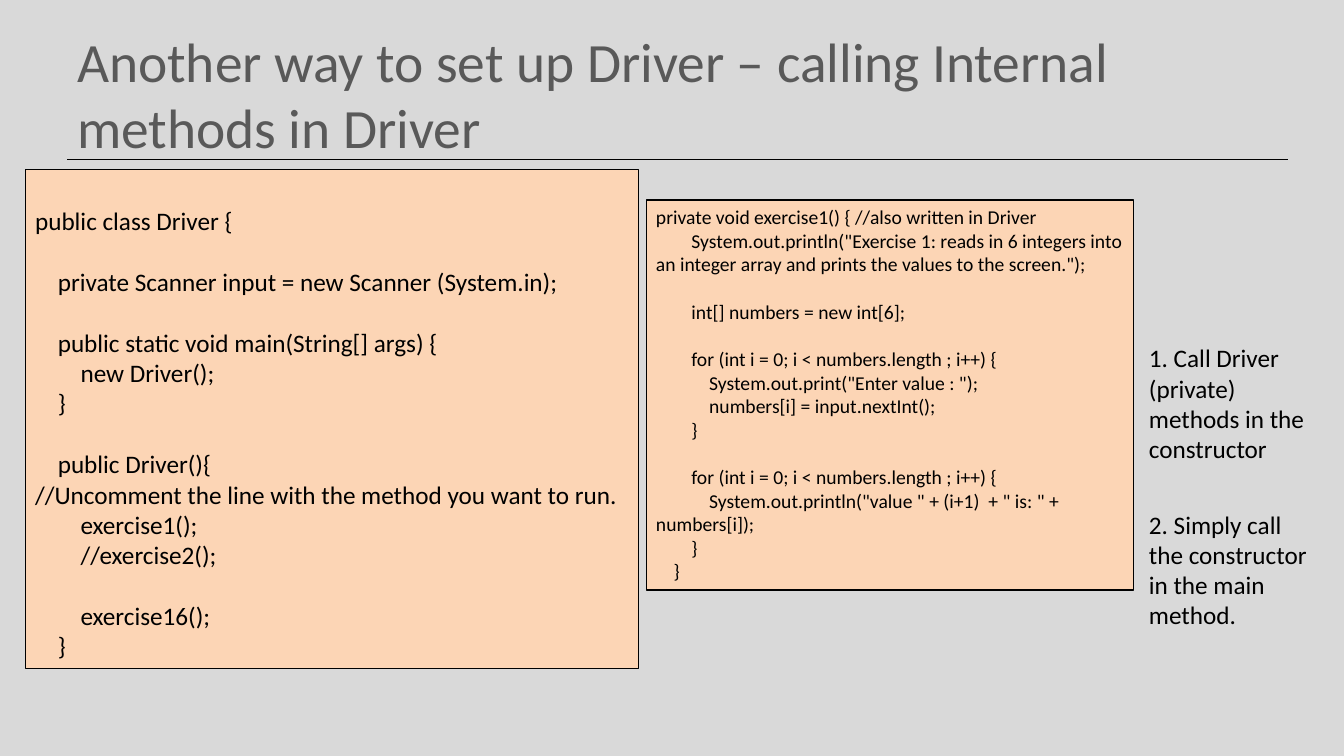
"""Build the slide on calling internal methods in Driver."""
import lxml.etree
import pptx
import pptx.dml.color
import pptx.enum.shapes
import pptx.enum.text
import pptx.oxml.ns
import pptx.util

Pt = pptx.util.Pt
ANCHOR = pptx.enum.text.MSO_ANCHOR
COLORS = {"background": "D9D9D9", "title": "595959", "code": "FCD5B5", "ink": "000000"}
LINE_HEIGHT = 1.22


def rgb(name):
    return pptx.dml.color.RGBColor.from_string(COLORS[name])


def add_text(text, *, left, top, width, height, size, color="ink", fill=None,
             anchor=ANCHOR.TOP, top_inset=3.6):
    if fill:
        box = slide.shapes.add_shape(pptx.enum.shapes.MSO_SHAPE.RECTANGLE,
                                     Pt(left), Pt(top), Pt(width), Pt(height))
        box.shadow.inherit = False
        box.fill.solid()
        box.fill.fore_color.rgb = rgb(fill)
        box.line.color.rgb = rgb("ink")
        box.line.width = Pt(0.75)
    else:
        box = slide.shapes.add_textbox(Pt(left), Pt(top), Pt(width), Pt(height))
    frame = box.text_frame
    frame.word_wrap = True
    frame.vertical_anchor = anchor
    frame.margin_top = Pt(top_inset)
    paragraph, gap = frame.paragraphs[0], 0
    for line in text.split("\n"):
        if not line:
            gap += size * LINE_HEIGHT
            continue
        if paragraph.runs:
            paragraph = frame.add_paragraph()
        if gap:
            paragraph.space_before = Pt(gap)
            gap = 0
        paragraph.alignment = pptx.enum.text.PP_ALIGN.LEFT
        run = paragraph.add_run()
        run.text = line
        run.font.name = "Calibri"
        run.font.size = Pt(size)
        run.font.color.rgb = rgb(color)


deck = pptx.Presentation()
deck.slide_width, deck.slide_height = Pt(960), Pt(540)
slide = deck.slides.add_slide(deck.slide_layouts[6])
slide.background.fill.solid()
slide.background.fill.fore_color.rgb = rgb("background")

title_rule = slide.shapes.add_connector(pptx.enum.shapes.MSO_CONNECTOR.STRAIGHT,
                                        Pt(48), Pt(113.75), Pt(920), Pt(113.75))
title_rule.line.color.rgb = rgb("ink")
title_rule.line.width = Pt(1)
lxml.etree.SubElement(title_rule._element.spPr, pptx.oxml.ns.qn("a:effectLst"))

add_text("Another way to set up Driver – calling Internal methods in Driver",
         left=48, top=21.6, width=864, height=90, size=39.6, color="title",
         anchor=ANCHOR.MIDDLE)

driver_code = """public class Driver {

    private Scanner input = new Scanner (System.in);

    public static void main(String[] args) {
        new Driver();
    }

    public Driver(){
//Uncomment the line with the method you want to run.
        exercise1();
        //exercise2();

        exercise16();
    }"""
add_text(driver_code, left=18, top=121, width=438, height=356.4, size=18,
         fill="code", top_inset=25.6)

exercise_code = """private void exercise1() { //also written in Driver
        System.out.println("Exercise 1: reads in 6 integers into an integer array and prints the values to the screen.");

        int[] numbers = new int[6];

        for (int i = 0; i < numbers.length ; i++) {
            System.out.print("Enter value : ");
            numbers[i] = input.nextInt();
        }

        for (int i = 0; i < numbers.length ; i++) {
            System.out.println("value " + (i+1)  + " is: " + numbers[i]);
        }
    }"""
add_text(exercise_code, left=461.5, top=142.9, width=348.5, height=278.6, size=14,
         fill="code")

steps = [
    ("1. Call Driver (private) methods in the constructor", 241.2, 128.2),
    ("2. Simply call the constructor in the main method.", 360, 134.6),
]
for step, top, width in steps:
    add_text(step, left=813.6, top=top, width=width, height=94.3, size=18)

deck.save("out.pptx")
